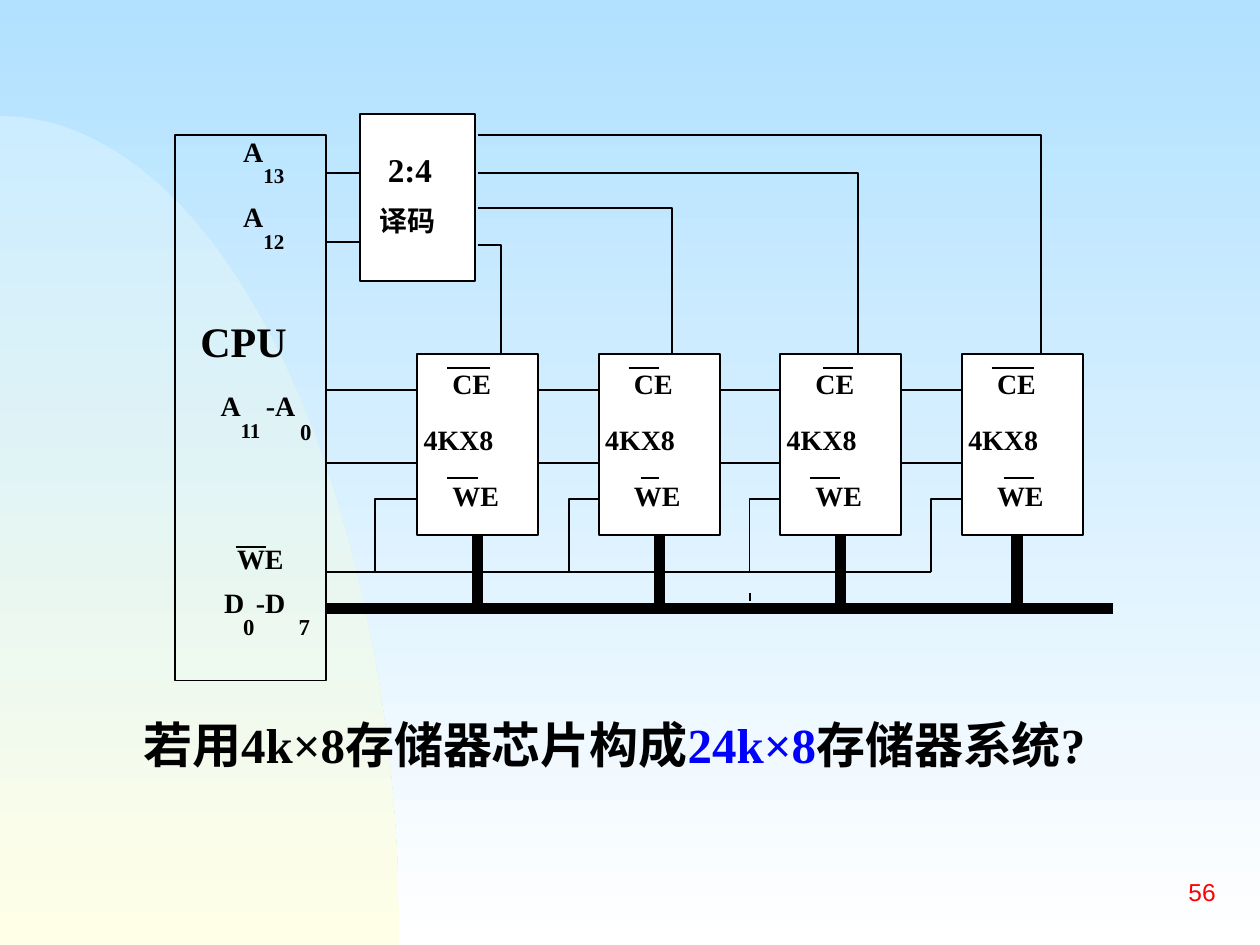
"""Build a slide showing four 4KX8 memory chips wired to a CPU through a 2:4 decoder."""
from lxml.etree import SubElement
from pptx import Presentation
from pptx.dml.color import RGBColor
from pptx.enum.shapes import MSO_CONNECTOR as Link, MSO_SHAPE as Shape
from pptx.enum.text import MSO_ANCHOR as Anchor, MSO_AUTO_SIZE as AutoSize, PP_ALIGN as Align
from pptx.oxml.ns import qn
from pptx.util import Cm, Pt

BLACK = RGBColor(0x00, 0x00, 0x00)
WHITE = RGBColor(0xFF, 0xFF, 0xFF)
BLUE = RGBColor(0x00, 0x00, 0xFF)
RED = RGBColor(0xFF, 0x00, 0x00)
SKY = RGBColor(0xB1, 0xE1, 0xFF)
PALE_BLUE = RGBColor(0xCC, 0xEC, 0xFF)
CREAM = RGBColor(0xFF, 0xFF, 0xE7)
SERIF, SANS = "Times New Roman", "Arial"
THIN, THICK = 1.13, 6.38

CPU_LABELS = [
    ("A", 4.9, 2.64, 0.41, 16), ("13", 5.31, 3.23, 0.43, 12),
    ("A", 4.9, 3.96, 0.41, 16), ("12", 5.31, 4.55, 0.43, 12),
    ("CPU", 4.04, 6.25, 1.75, 24),
    ("A", 4.45, 7.77, 0.41, 16), ("11", 4.85, 8.36, 0.43, 12),
    ("-A", 5.36, 7.77, 0.6, 16), ("0", 6.05, 8.36, 0.23, 13),
    ("WE", 4.78, 10.85, 0.94, 16),
    ("D", 4.52, 11.73, 0.41, 16), ("0", 4.9, 12.29, 0.23, 13),
    ("-D", 5.16, 11.73, 0.6, 16), ("7", 6.02, 12.29, 0.23, 13),
]
DECODER_LABELS = [("2:4", 7.82, 2.92, 0.9, 19), ("译码", 7.65, 4.04, 1.13, 16)]
CHIP_LABELS = [("CE", 0.71, 7.32, 0.79), ("4KX8", 0.13, 8.46, 1.42), ("WE", 0.71, 9.58, 0.94)]
CHIPS = [
    {"select": (10.11, 4.93), "ce_bar": (9.02, 9.88), "we_bar": (9.02, 9.63), "tap": 7.57},
    {"select": (13.54, 4.19), "ce_bar": (12.67, 13.28), "we_bar": (12.93, 13.28), "tap": 11.48},
    {"select": (17.3, 3.48), "ce_bar": (16.59, 17.2), "we_bar": (16.33, 16.94), "tap": 15.11},
    {"select": (20.98, 2.72), "ce_bar": (19.99, 20.85), "we_bar": (20.24, 20.85), "tap": 18.77},
]
QUESTION = [("若用4k×8存储器芯片构成", BLACK), ("24k×8", BLUE), ("存储器系统?", BLACK)]

CPU = (3.53, 2.72, 3.05, 11)
DECODER = (7.26, 2.29, 2.31, 3.38)
CPU_RIGHT = CPU[0] + CPU[2]
CHIP_LEFT, CHIP_TOP, CHIP_WIDTH, CHIP_HEIGHT, CHIP_PITCH = 8.41, 7.14, 2.44, 3.65, 3.66
CHIP_BOTTOM = CHIP_TOP + CHIP_HEIGHT
ADDRESS_ROWS = (7.86, 9.34)
SELECT_START, TAP_TOP = 9.63, 10.06
CE_BAR_Y, WE_BAR_Y = 7.42, 9.63
WRITE_BUS_Y, DATA_BUS_Y, DATA_BUS_END, LAST_DATA_X = 11.53, 12.27, 22.43, 20.5
LABEL_SLACK = 0.1
ARC = ((0, 2.34), (4.45, 2.34), (8.05, 9.83), (8.05, 19.05))
ARC_STEPS = 60

deck = Presentation()
deck.slide_width, deck.slide_height = Cm(25.4), Cm(19.05)
page = deck.slides.add_slide(deck.slide_layouts[6])


def shade(fill, top, bottom):
    fill.gradient()
    fill.gradient_angle = 270
    for stop, color in zip(fill.gradient_stops, (top, bottom)):
        stop.color.rgb = color


def add_outline(points, close=False):
    places = [(Cm(x), Cm(y)) for x, y in points]
    builder = page.shapes.build_freeform(*places[0])
    builder.add_line_segments(places[1:], close=close)
    outline = builder.convert_to_shape()
    outline.shadow.inherit = False
    return outline


def add_wire(*points):
    wire = add_outline(points)
    wire.fill.background()
    wire.line.color.rgb = BLACK
    wire.line.width = Pt(THIN)


def add_line(x1, y1, x2, y2, weight=THIN):
    line = page.shapes.add_connector(Link.STRAIGHT, Cm(x1), Cm(y1), Cm(x2), Cm(y2))
    line.line.color.rgb = BLACK
    line.line.width = Pt(weight)
    SubElement(line._element.spPr, qn("a:effectLst"))
    return line


def add_block(left, top, width, height, color=None):
    block = page.shapes.add_shape(Shape.RECTANGLE, Cm(left), Cm(top), Cm(width), Cm(height))
    block.shadow.inherit = False
    if color is None:
        block.fill.background()
    else:
        block.fill.solid()
        block.fill.fore_color.rgb = color
    block.line.color.rgb = BLACK
    block.line.width = Pt(THIN)
    return block


def add_text(spans, left, top, width, height, size, font=SERIF, bold=True, inset=(0, 0)):
    box = page.shapes.add_textbox(Cm(left), Cm(top), Cm(width), Cm(height))
    frame = box.text_frame
    frame.word_wrap = False
    frame.margin_left = frame.margin_right = Cm(inset[0])
    frame.margin_top = frame.margin_bottom = Cm(inset[1])
    para = frame.paragraphs[0]
    for text, color in spans:
        span = para.add_run()
        span.text = text
        span.font.name, span.font.size, span.font.bold = font, Pt(size), bold
        span.font.color.rgb = color
    return frame


def add_label(text, left, top, width, size=16):
    frame = add_text([(text, BLACK)], left, top, width + LABEL_SLACK, size * 0.0465, size)
    frame.word_wrap = True
    frame.paragraphs[0].line_spacing = 1.1


def arc_point(t):
    weights = ((1 - t) ** 3, 3 * t * (1 - t) ** 2, 3 * t * t * (1 - t), t ** 3)
    return tuple(sum(w * p[axis] for w, p in zip(weights, ARC)) for axis in (0, 1))


shade(page.background.fill, SKY, WHITE)
hill = add_outline([arc_point(i / ARC_STEPS) for i in range(ARC_STEPS + 1)] + [(0, 19.05)], close=True)
shade(hill.fill, PALE_BLUE, CREAM)
hill.line.fill.background()

add_block(*CPU)
add_block(*DECODER, WHITE)
for label in CPU_LABELS + DECODER_LABELS:
    add_label(*label)
add_line(4.75, 11.02, 5.36, 11.02)
for y in (3.48, 4.88):
    add_line(CPU_RIGHT, y, DECODER[0], y)

add_line(CPU_RIGHT, WRITE_BUS_Y, CHIPS[-1]["tap"], WRITE_BUS_Y)
add_line(CPU_RIGHT, DATA_BUS_Y, DATA_BUS_END, DATA_BUS_Y, THICK)
add_line(CHIPS[2]["tap"], 11.96, CHIPS[2]["tap"], 12.12)

wire_start = CPU_RIGHT
for index, chip in enumerate(CHIPS):
    left = CHIP_LEFT + index * CHIP_PITCH
    block = add_block(left, CHIP_TOP, CHIP_WIDTH, CHIP_HEIGHT, WHITE)
    for text, offset, top, width in CHIP_LABELS:
        add_label(text, left + offset, top, width)
    for (start, end), y in ((chip["ce_bar"], CE_BAR_Y), (chip["we_bar"], WE_BAR_Y)):
        add_line(start, y, end, y)
    for y in ADDRESS_ROWS:
        add_line(wire_start, y, left, y)
    wire_start = left + CHIP_WIDTH
    select_x, select_y = chip["select"]
    add_wire((SELECT_START, select_y), (select_x, select_y), (select_x, CHIP_TOP))
    add_wire((left, TAP_TOP), (chip["tap"], TAP_TOP), (chip["tap"], WRITE_BUS_Y))
    is_last = chip is CHIPS[-1]
    data_x = LAST_DATA_X if is_last else left + CHIP_WIDTH / 2
    data_line = add_line(data_x, CHIP_BOTTOM, data_x, DATA_BUS_Y, THICK)
    if not is_last:
        data_line.begin_connect(block, 2)

question = add_text(QUESTION, 2.64, 14.27, 20.68, 1.45, 28, inset=(0.25, 0.13))
question.auto_size = AutoSize.SHAPE_TO_FIT_TEXT
number = add_text([("56", RED)], 19.48, 17.35, 5.28, 1.27, 14, SANS, False, (0.25, 0.13))
number.vertical_anchor = Anchor.MIDDLE
number.paragraphs[0].alignment = Align.RIGHT

deck.save("out.pptx")
